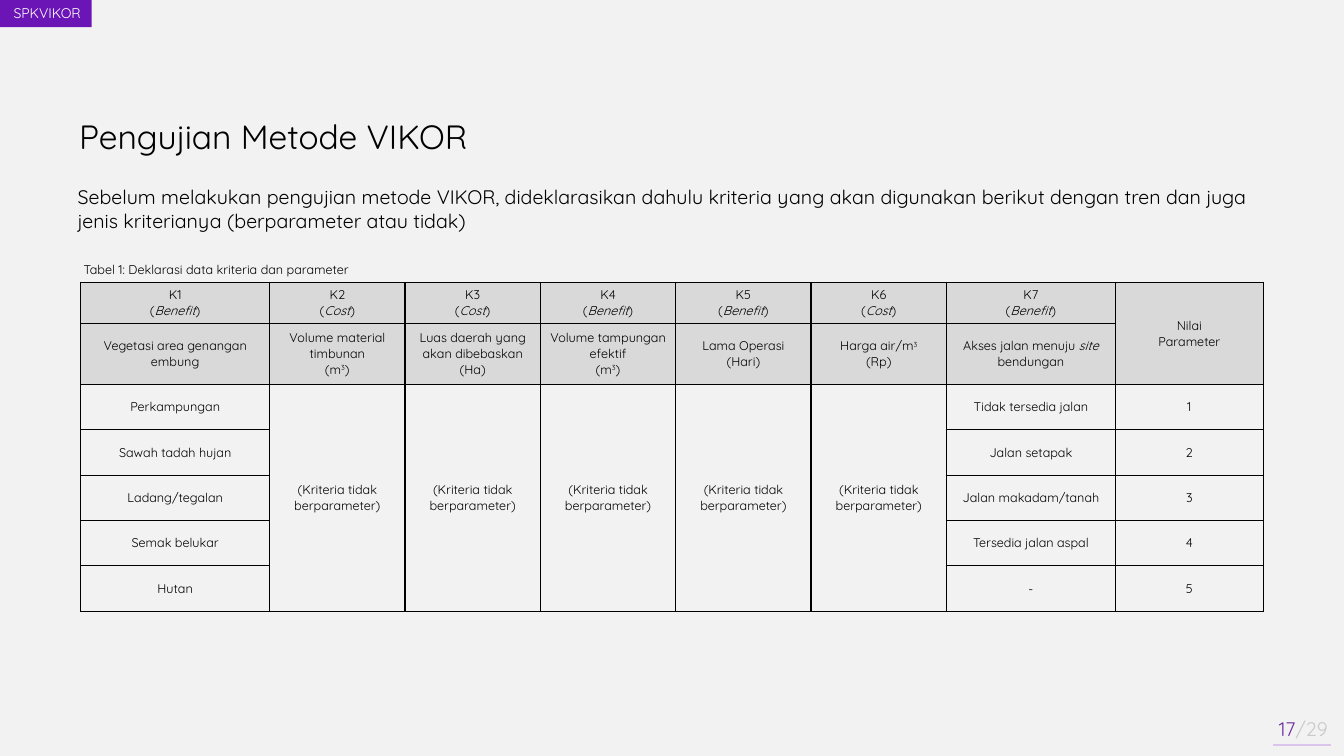
"""Build the slide declaring the VIKOR criteria and their parameters."""
from dataclasses import dataclass
from lxml import etree
from pptx import Presentation
from pptx import util as u
from pptx.dml.color import RGBColor
from pptx.enum import shapes, text
from pptx.oxml import ns

Pt = u.Pt


@dataclass(frozen=True)
class Theme:
    font: str = "Quicksand"
    background: str = "F2F2F2"
    header: str = "D9D9D9"
    ink: str = "000000"
    white: str = "FFFFFF"
    banner: str = "6B15B6"
    page: str = "7030A0"
    page_total: str = "C9C9C9"
    rule: str = "DCC5ED"
    title_size: float = 24
    body_size: float = 14
    banner_size: float = 10
    table_size: float = 9


@dataclass(frozen=True)
class Box:
    left: float
    top: float
    width: float
    height: float

    def lengths(self) -> tuple:
        return Pt(self.left), Pt(self.top), Pt(self.width), Pt(self.height)


@dataclass(frozen=True)
class Criterion:
    trend: str
    name: str
    levels: tuple = ()


THEME = Theme()
LEFT, CENTER, RIGHT = text.PP_ALIGN.LEFT, text.PP_ALIGN.CENTER, text.PP_ALIGN.RIGHT
CRITERIA = (
    Criterion("Benefit", "Vegetasi area genangan embung",
              ("Perkampungan", "Sawah tadah hujan", "Ladang/tegalan", "Semak belukar", "Hutan")),
    Criterion("Cost", "Volume material timbunan\n(m^3^)"),
    Criterion("Cost", "Luas daerah yang akan dibebaskan (Ha)"),
    Criterion("Benefit", "Volume tampungan efektif\n(m^3^)"),
    Criterion("Benefit", "Lama Operasi\n(Hari)"),
    Criterion("Cost", "Harga air/m^3^\n(Rp)"),
    Criterion("Benefit", "Akses jalan menuju *site* bendungan",
              ("Tidak tersedia jalan", "Jalan setapak", "Jalan makadam/tanah",
               "Tersedia jalan aspal", "-")),
)
LEVEL_COUNT = 5
COLUMN_WIDTHS = [135] + [96.7] * 5 + [120.6, 105.8]
ROW_HEIGHTS = [29.3, 43.5] + [32.4] * LEVEL_COUNT


def add_run(paragraph, content: str, *, size: float, color: str,
            italic: bool = False, raised: bool = False) -> None:
    """Append one formatted run to a paragraph."""
    run = paragraph.add_run()
    run.text = content
    run.font.name = THEME.font
    run.font.size = Pt(size)
    run.font.color.rgb = RGBColor.from_string(color)
    if italic:
        run.font.italic = True
    if raised:
        run.font._element.set("baseline", "30000")


def write_text(frame, content: str, *, size: float, color: str = THEME.ink,
               align=LEFT, space_after: float = 0) -> None:
    """Write lines of text, with *italic* and ^superscript^ marks."""
    for index, line in enumerate(content.split("\n")):
        paragraph = frame.add_paragraph() if index else frame.paragraphs[0]
        paragraph.alignment = align
        paragraph.space_after = Pt(space_after)
        for i, part in enumerate(line.split("*")):
            for j, piece in enumerate(part.split("^")):
                if piece:
                    add_run(paragraph, piece, size=size, color=color,
                            italic=i % 2 == 1, raised=j % 2 == 1)


def add_text(slide, box: Box, content: str, *, inset: float = 7.2,
             anchor=text.MSO_ANCHOR.TOP, **formatting):
    """Add a wrapping text box and return its text frame."""
    frame = slide.shapes.add_textbox(*box.lengths()).text_frame
    frame.word_wrap = True
    frame.margin_left = Pt(inset)
    frame.vertical_anchor = anchor
    write_text(frame, content, **formatting)
    return frame


def add_banner(slide) -> None:
    """Add the purple label in the top left corner."""
    shape = slide.shapes.add_shape(shapes.MSO_SHAPE.RECTANGLE, *Box(0, 0, 65.5, 19.4).lengths())
    shape.shadow.inherit = False
    shape.fill.solid()
    shape.fill.fore_color.rgb = RGBColor.from_string(THEME.banner)
    shape.line.fill.background()
    add_text(slide, Box(0.7, 0, 64.1, 19.4), "SPKVIKOR", inset=0,
             size=THEME.banner_size, color=THEME.white, align=RIGHT)


def add_page_number(slide) -> None:
    """Add the page count and the rule beneath it."""
    rule = slide.shapes.add_connector(shapes.MSO_CONNECTOR.STRAIGHT,
                                      Pt(909.4), Pt(532), Pt(950.6), Pt(532))
    rule.line.color.rgb = RGBColor.from_string(THEME.rule)
    rule.line.width = Pt(1.5)
    etree.SubElement(rule._element.spPr, ns.qn("a:effectLst"))
    frame = add_text(slide, Box(887.8, 506.2, 67.7, 28.8), "17", size=THEME.body_size,
                     color=THEME.page, align=RIGHT, anchor=text.MSO_ANCHOR.MIDDLE)
    add_run(frame.paragraphs[0], "/29", size=THEME.body_size, color=THEME.page_total)


def style_cell(cell, fill: str, inset: float) -> None:
    """Give a cell its borders, fill, insets and anchor."""
    properties = cell._tc.get_or_add_tcPr()
    for side in ("a:lnL", "a:lnR", "a:lnT", "a:lnB"):
        border = etree.SubElement(properties, ns.qn(side), w=str(Pt(1)))
        solid = etree.SubElement(border, ns.qn("a:solidFill"))
        etree.SubElement(solid, ns.qn("a:srgbClr"), val=THEME.ink)
    cell.fill.solid()
    cell.fill.fore_color.rgb = RGBColor.from_string(fill)
    cell.margin_left = cell.margin_right = Pt(inset)
    cell.margin_top = cell.margin_bottom = 0
    cell.vertical_anchor = text.MSO_ANCHOR.MIDDLE


def add_criteria_table(slide) -> None:
    """Add the table of criteria, trends and parameter levels."""
    box = Box(57.6, 201.8, sum(COLUMN_WIDTHS), sum(ROW_HEIGHTS))
    table = slide.shapes.add_table(len(ROW_HEIGHTS), len(COLUMN_WIDTHS), *box.lengths()).table
    for column, width in zip(table.columns, COLUMN_WIDTHS):
        column.width = Pt(width)
    for row, height in zip(table.rows, ROW_HEIGHTS):
        row.height = Pt(height)

    last = len(CRITERIA)
    contents = {(0, last): "Nilai\nParameter"}
    table.cell(0, last).merge(table.cell(1, last))
    for level in range(LEVEL_COUNT):
        contents[level + 2, last] = str(level + 1)
    for column, criterion in enumerate(CRITERIA):
        contents[0, column] = f"K{column + 1}\n(*{criterion.trend}*)"
        contents[1, column] = criterion.name
        for level, name in enumerate(criterion.levels):
            contents[level + 2, column] = name
        if not criterion.levels:
            contents[2, column] = "(Kriteria tidak berparameter)"
            table.cell(2, column).merge(table.cell(LEVEL_COUNT + 1, column))

    for row in range(len(ROW_HEIGHTS)):
        for column in range(len(COLUMN_WIDTHS)):
            cell = table.cell(row, column)
            is_level = row > 1 and column < last and CRITERIA[column].levels
            style_cell(cell, THEME.header if row < 2 else THEME.background,
                       2.9 if is_level else 5)
            if (row, column) in contents:
                write_text(cell.text_frame, contents[row, column],
                           size=THEME.table_size, align=CENTER)


def main() -> None:
    """Assemble and save the presentation."""
    presentation = Presentation()
    presentation.slide_width, presentation.slide_height = Pt(960), Pt(540)
    slide = presentation.slides.add_slide(presentation.slide_layouts[6])
    slide.background.fill.solid()
    slide.background.fill.fore_color.rgb = RGBColor.from_string(THEME.background)
    add_banner(slide)
    add_text(slide, Box(49.5, 79.2, 385.2, 36), "Pengujian Metode VIKOR",
             size=THEME.title_size, space_after=8)
    add_text(slide, Box(27.4, 128.9, 884.9, 41), "Sebelum melakukan pengujian metode VIKOR, "
             "dideklarasikan dahulu kriteria yang akan digunakan berikut dengan tren dan juga "
             "jenis kriterianya (berparameter atau tidak)",
             size=THEME.body_size, inset=28.1, space_after=8)
    add_criteria_table(slide)
    add_text(slide, Box(52.6, 183.6, 305.3, 18), "Tabel 1: Deklarasi data kriteria dan parameter",
             size=THEME.table_size)
    add_page_number(slide)
    presentation.save("out.pptx")


if __name__ == "__main__":
    main()
